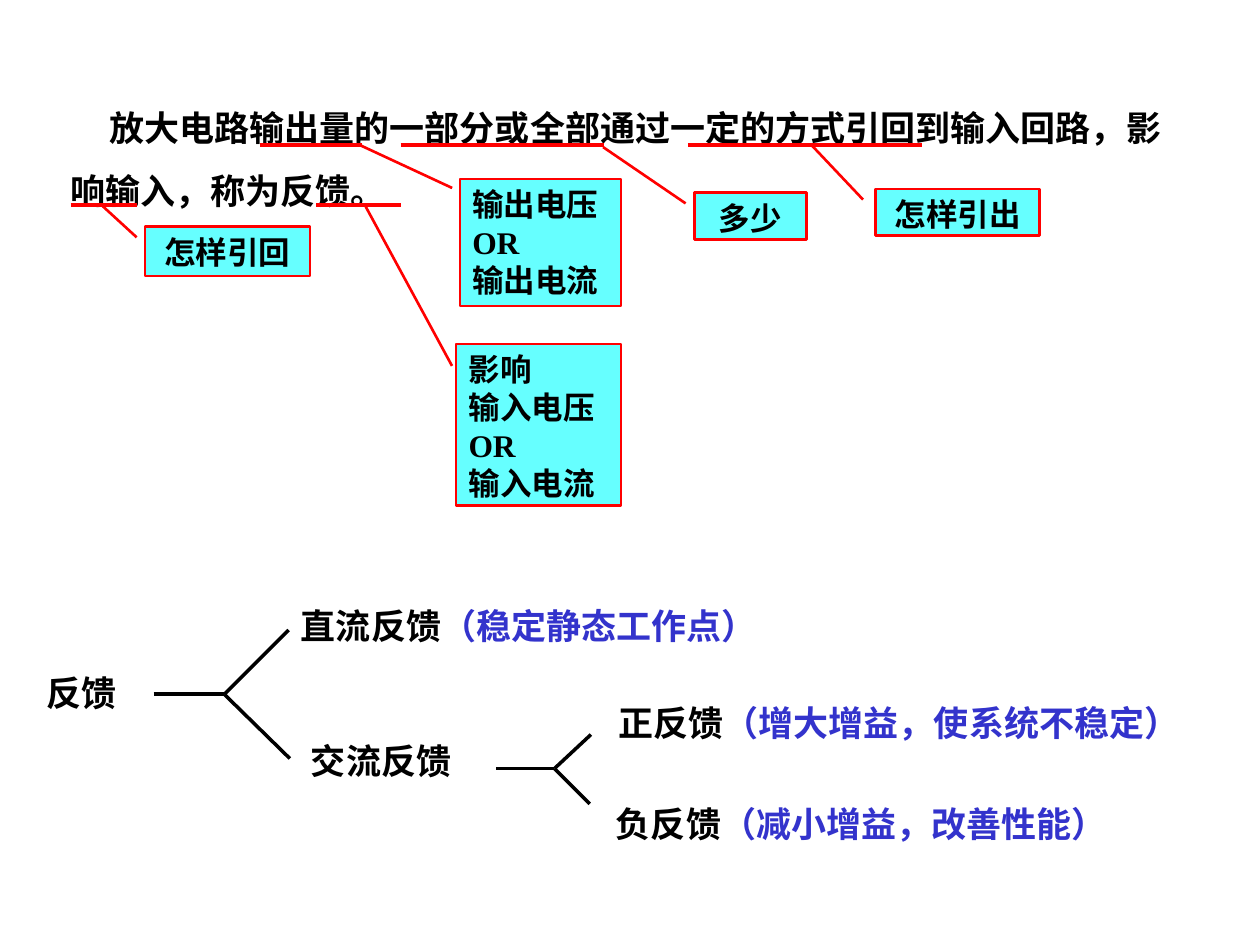
from lxml import etree
from pptx import Presentation
from pptx import util as u
from pptx.dml.color import RGBColor
from pptx.enum import shapes, text
from pptx.oxml import ns

WIDTH, HEIGHT = 10, 7.5
BLACK = RGBColor(0x00, 0x00, 0x00)
BLUE = RGBColor(0x33, 0x33, 0xCC)
RED = RGBColor(0xFF, 0x00, 0x00)
CYAN = RGBColor(0x66, 0xFF, 0xFF)

FONT = {"name": "Times New Roman", "bold": True}
LABEL_HEIGHT = 0.44
UPPER_RULE, LOWER_RULE = 1.15, 1.63  # underlines of the two definition lines

# Underline (left, right, y), box, callout adjustments, lines of text
CALLOUTS = [
    ((0.56, 1.09, LOWER_RULE), (1.15, 1.8, 1.31, 0.39),
     (0.214, -0.05, -0.417, -0.255), ["怎样引回"]),
    ((2.06, 2.87, UPPER_RULE), (3.65, 1.42, 1.28, 1.01),
     (0.071, -0.048, -0.272, -0.63), ["输出电压", "OR", "输出电流"]),
    ((3.18, 4.79, UPPER_RULE), (5.51, 1.53, 0.89, 0.37),
     (0.229, -0.077, -0.979, -0.813), ["多少"]),
    ((2.51, 3.18, LOWER_RULE), (3.62, 2.73, 1.31, 1.28),
     (0.136, -0.025, -0.852, -0.548), ["影响", "输入电压", "OR", "输入电流"]),
    ((5.46, 7.32, UPPER_RULE), (6.95, 1.5, 1.3, 0.37),
     (0.229, -0.077, -0.923, -0.387), ["怎样引出"]),
]

# Left, top, width, term, remark
LABELS = [
    (0.27, 5.28, 0.96, "反馈", ""),
    (2.29, 4.75, 4.88, "直流反馈", "（稳定静态工作点）"),
    (2.37, 5.82, 1.56, "交流反馈", ""),
    (4.81, 5.52, 4.88, "正反馈", "（增大增益，使系统不稳定）"),
    (4.79, 6.32, 4.88, "负反馈", "（减小增益，改善性能）"),
]

# Stem start, joint, branch ends
FORKS = [
    ((1.22, 5.51), (1.78, 5.51), [(2.29, 5), (2.3, 6.02)]),
    ((3.94, 6.1), (4.4, 6.1), [(4.69, 5.83), (4.68, 6.38)]),
]


def add_run(paragraph, words, size, color=BLACK):
    run = paragraph.add_run()
    run.text = words
    for name, value in {**FONT, "size": u.Pt(size)}.items():
        setattr(run.font, name, value)
    run.font.color.rgb = color


def add_line(parent, start, end, color, width):
    points = [u.Inches(value) for value in (*start, *end)]
    line = parent.add_connector(shapes.MSO_CONNECTOR.STRAIGHT, *points)
    line.line.color.rgb = color
    line.line.width = u.Pt(width)
    properties = line._element.spPr
    etree.SubElement(properties, ns.qn("a:effectLst"))


def add_text_box(slide, box):
    shape = slide.shapes.add_textbox(*map(u.Inches, box))
    shape.text_frame.word_wrap = True
    return shape.text_frame.paragraphs[0]


def add_definition(slide):
    paragraph = add_text_box(slide, (0.46, 0.63, 8.92, 1.11))
    paragraph.line_spacing = 1.5
    paragraph._p.get_or_add_pPr().set("indent", str(u.Inches(0.31)))
    add_run(paragraph, "放大电路输出量的一部分或全部通过一定的方式引回到输入回路，"
            "影响输入，称为反馈。", 20)


def add_callout(slide, underline, box, adjustments, lines):
    group = slide.shapes.add_group_shape()
    shape = group.shapes.add_shape(
        shapes.MSO_SHAPE.LINE_CALLOUT_1, *map(u.Inches, box))
    for index, value in enumerate(adjustments):
        shape.adjustments[index] = value
    shape.shadow.inherit = False
    shape.fill.solid()
    shape.fill.fore_color.rgb = CYAN
    shape.line.color.rgb = RED
    shape.line.width = u.Pt(1.5)

    # Single words are centred, lists start at the left
    frame = shape.text_frame
    frame.vertical_anchor = text.MSO_ANCHOR.TOP
    alignment = text.PP_ALIGN.CENTER if len(lines) == 1 else text.PP_ALIGN.LEFT
    for index, words in enumerate(lines):
        paragraph = frame.add_paragraph() if index else frame.paragraphs[0]
        paragraph.alignment = alignment
        add_run(paragraph, words, 18)

    left, right, y = underline
    add_line(group.shapes, (left, y), (right, y), RED, 2.25)


def add_label(slide, left, top, width, term, remark):
    paragraph = add_text_box(slide, (left, top, width, LABEL_HEIGHT))
    add_run(paragraph, term, 20)
    if remark:
        add_run(paragraph, remark, 20, BLUE)


def add_fork(slide, start, joint, ends):
    add_line(slide.shapes, start, joint, BLACK, 2)
    for end in ends:
        add_line(slide.shapes, joint, end, BLACK, 2)


def main():
    presentation = Presentation()
    presentation.slide_width = u.Inches(WIDTH)
    presentation.slide_height = u.Inches(HEIGHT)
    slide = presentation.slides.add_slide(presentation.slide_layouts[6])

    # Tree of feedback types
    for label in LABELS:
        add_label(slide, *label)
    for fork in FORKS:
        add_fork(slide, *fork)

    # Definition with its annotated terms
    add_definition(slide)
    for callout in CALLOUTS:
        add_callout(slide, *callout)

    presentation.save("out.pptx")


if __name__ == "__main__":
    main()
